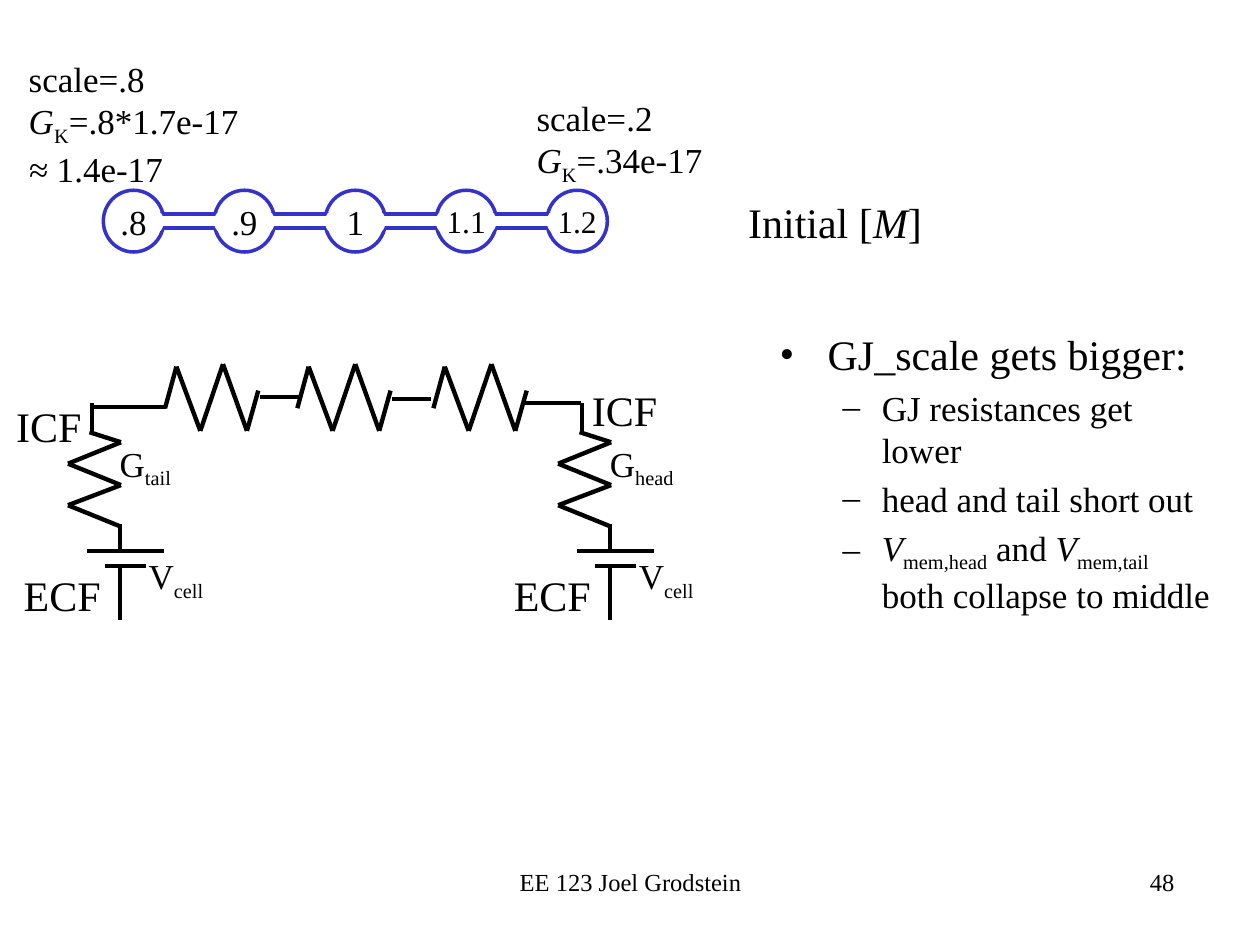
from itertools import pairwise

from lxml.etree import SubElement
from pptx import Presentation
from pptx.dml.color import RGBColor
from pptx.enum.shapes import MSO_CONNECTOR as Connector, MSO_SHAPE as Shape
from pptx.enum.text import MSO_ANCHOR as Anchor, PP_ALIGN as Align
from pptx.oxml.ns import qn
from pptx.util import Inches, Pt

FONT = "Times New Roman"
BLACK, WHITE, BLUE = "000000", "FFFFFF", "3333CC"


def color(hex_value):
    """Turn a hex string into a colour."""
    return RGBColor.from_string(hex_value)


def write(paragraph, pieces, size):
    """Fill a paragraph with (text, style) pieces; style is '', 'i' or 'sub'."""
    for text, style in pieces:
        run = paragraph.add_run()
        run.text = text
        run.font.name, run.font.size = FONT, Pt(size)
        run.font.color.rgb = color(BLACK)
        if style == "i":
            run.font.italic = True
        if style == "sub":
            run.font._element.set("baseline", "-25000")


def add_label(shapes, box, lines, size, align=Align.LEFT, tight=False):
    """Place a text box holding one paragraph per line of pieces."""
    frame = shapes.add_textbox(*map(Inches, box)).text_frame
    frame.word_wrap = not tight
    if tight:
        frame.margin_left = frame.margin_top = frame.margin_right = frame.margin_bottom = 0
    for index, pieces in enumerate(lines):
        paragraph = frame.add_paragraph() if index else frame.paragraphs[0]
        paragraph.alignment = align
        write(paragraph, pieces, size)


def add_outline(shapes, kind, box, fill=None, line=None):
    """Place a preset shape with an optional fill and outline."""
    outline = shapes.add_shape(kind, *map(Inches, box))
    outline.shadow.inherit = False
    if fill:
        outline.fill.solid()
        outline.fill.fore_color.rgb = color(fill)
    else:
        outline.fill.background()
    if line:
        outline.line.color.rgb = color(line)
        outline.line.width = Pt(2)
    else:
        outline.line.fill.background()
    return outline


def add_wires(shapes, left, top, points, width=2.25):
    """Join successive points, given relative to left and top, with straight lines."""
    for (x1, y1), (x2, y2) in pairwise(points):
        ends = (left + x1, top + y1, left + x2, top + y2)
        wire = shapes.add_connector(Connector.STRAIGHT, *map(Inches, ends))
        wire.line.color.rgb = color(BLACK)
        wire.line.width = Pt(width)
        SubElement(wire._element.spPr, qn("a:effectLst"))


def add_cell_chain(shapes, left, top):
    """Draw the row of cells joined by open gap junctions."""
    pitch, width, height = 0.88, 0.48, 0.49
    overlap, mask_width = 0.06, 0.13
    cells = [(".8", 20), (".9", 20), ("1", 20), ("1.1", 18), ("1.2", 18)]
    lefts = [left + index * pitch for index in range(len(cells))]
    for x, (scale, size) in zip(lefts, cells):
        cell = add_outline(shapes, Shape.OVAL, (x, top, width, height), line=BLUE)
        frame = cell.text_frame
        frame.margin_left = frame.margin_top = frame.margin_right = frame.margin_bottom = 0
        frame.vertical_anchor = Anchor.MIDDLE
        frame.paragraphs[0].alignment = Align.CENTER
        write(frame.paragraphs[0], [(scale, "")], size)
    for x, following in pairwise(lefts):
        right = x + width
        junction = (right - overlap, top + 0.19, following - right + 2 * overlap, 0.11)
        add_outline(shapes, Shape.RECTANGLE, junction, WHITE, BLUE)
        for mask_left in (right - mask_width, following):
            add_outline(shapes, Shape.OVAL, (mask_left, top + 0.16, mask_width, 0.18), WHITE)


def add_branch(shapes, left, top, end, icf_offset):
    """Draw one membrane branch: resistor, battery and their labels."""
    parts = shapes.add_group_shape().shapes
    for wire in (
        [(0.19, 0), (0.19, 0.22)],
        [(0.41, 0.96), (0.41, 1.18)],
        [(0.15, 1.17), (0.76, 1.17)],
        [(0.29, 1.29), (0.62, 1.29)],
        [(0.41, 1.3), (0.41, 1.72)],
    ):
        add_wires(parts, left, top, wire)
    resistor = [(0.17, 0.23), (0.42, 0.31), (0, 0.48), (0.42, 0.65), (0, 0.81), (0.42, 0.98)]
    add_wires(parts, left, top, resistor, 2.5)
    for node, (dx, dy) in (("ICF", icf_offset), ("ECF", (-0.45, 1.27))):
        add_label(parts, (left + dx, top + dy, 0.87, 0.5), [[(node, "")]], 24)
    for symbol, index, dx, dy in (("G", end, 0.41, 0.31), ("V", "cell", 0.64, 1.2)):
        add_label(parts, (left + dx, top + dy, 0.6, 0.34),
                  [[(symbol, ""), (index, "sub")]], 20, tight=True)


def add_junction_row(shapes, top):
    """Draw the three gap junction resistors and the wires between them."""
    zigzag = [(0, 0.35), (0.09, 0.02), (0.28, 0.53), (0.46, 0), (0.65, 0.53), (0.74, 0.21)]
    for left in (1.31, 2.36, 3.44):
        add_wires(shapes.add_group_shape().shapes, left, top, zigzag, 2.5)
    for start, stop, dy in ((0.73, 1.32, 0.34), (2.06, 2.38, 0.26),
                            (3.11, 3.42, 0.28), (4.17, 4.61, 0.31)):
        add_wires(shapes, 0, top, [(start, dy), (stop, dy)])


def add_conclusions(shapes, box):
    """Write the bulleted list of effects."""
    points = [
        (0, [("GJ_scale gets bigger:", "")]),
        (1, [("GJ resistances get lower", "")]),
        (1, [("head and tail short out", "")]),
        (1, [("V", "i"), ("mem,head", "sub"), (" and ", ""), ("V", "i"),
             ("mem,tail", "sub"), (" both collapse to middle", "")]),
    ]
    levels = [("•", 0.38, 0.38, 24), ("–", 0.81, 0.31, 20)]
    frame = shapes.add_textbox(*map(Inches, box)).text_frame
    frame.word_wrap = True
    for index, (level, pieces) in enumerate(points):
        bullet, margin, hanging, size = levels[level]
        paragraph = frame.add_paragraph() if index else frame.paragraphs[0]
        paragraph.level = level
        properties = paragraph._p.get_or_add_pPr()
        properties.set("marL", str(Inches(margin)))
        properties.set("indent", str(-Inches(hanging)))
        SubElement(properties, qn("a:buFont")).set("typeface", FONT)
        SubElement(properties, qn("a:buChar")).set("char", bullet)
        paragraph.font.size = Pt(size)
        if index:
            paragraph.space_before = Pt(0.2 * size)
        write(paragraph, pieces, size)


def add_scale_notes(shapes):
    """Write the conductance notes and the caption around the cell chain."""
    add_label(shapes, (5.84, 1.51, 1.7, 0.5), [[("Initial [", ""), ("M", "i"), ("]", "")]], 24)
    conductance = [("G", "i"), ("K", "sub")]
    add_label(shapes, (0.13, 0.41, 1.96, 1.11),
              [[("scale=.8", "")], conductance + [("=.8*1.7e-17", "")],
               [("≈ ", "i"), ("1.4e-17", "")]], 20)
    add_label(shapes, (4.16, 0.72, 1.62, 0.77),
              [[("scale=.2", "")], conductance + [("=.34e-17", "")]], 20)


def add_footer(shapes, top):
    """Write the course credit and the page number."""
    add_label(shapes, (3.42, top, 3.17, 0.34), [[("EE 123 Joel Grodstein", "")]], 14, Align.CENTER)
    add_label(shapes, (6.25, top, 3.17, 0.5), [[("48", "")]], 14, Align.RIGHT)


def main():
    """Build the slide and save it."""
    deck = Presentation()
    deck.slide_width, deck.slide_height = Inches(10), Inches(7.5)
    shapes = deck.slides.add_slide(deck.slide_layouts[6]).shapes
    add_footer(shapes, 6.83)
    add_cell_chain(shapes, 0.82, 1.51)
    add_scale_notes(shapes)
    add_conclusions(shapes, (6.09, 2.56, 3.67, 2.65))
    add_branch(shapes, 0.54, 3.2, "tail", (-0.51, -0.07))
    add_branch(shapes, 4.43, 3.2, "head", (0.17, -0.2))
    add_junction_row(shapes, 2.89)
    deck.save("out.pptx")


if __name__ == "__main__":
    main()
